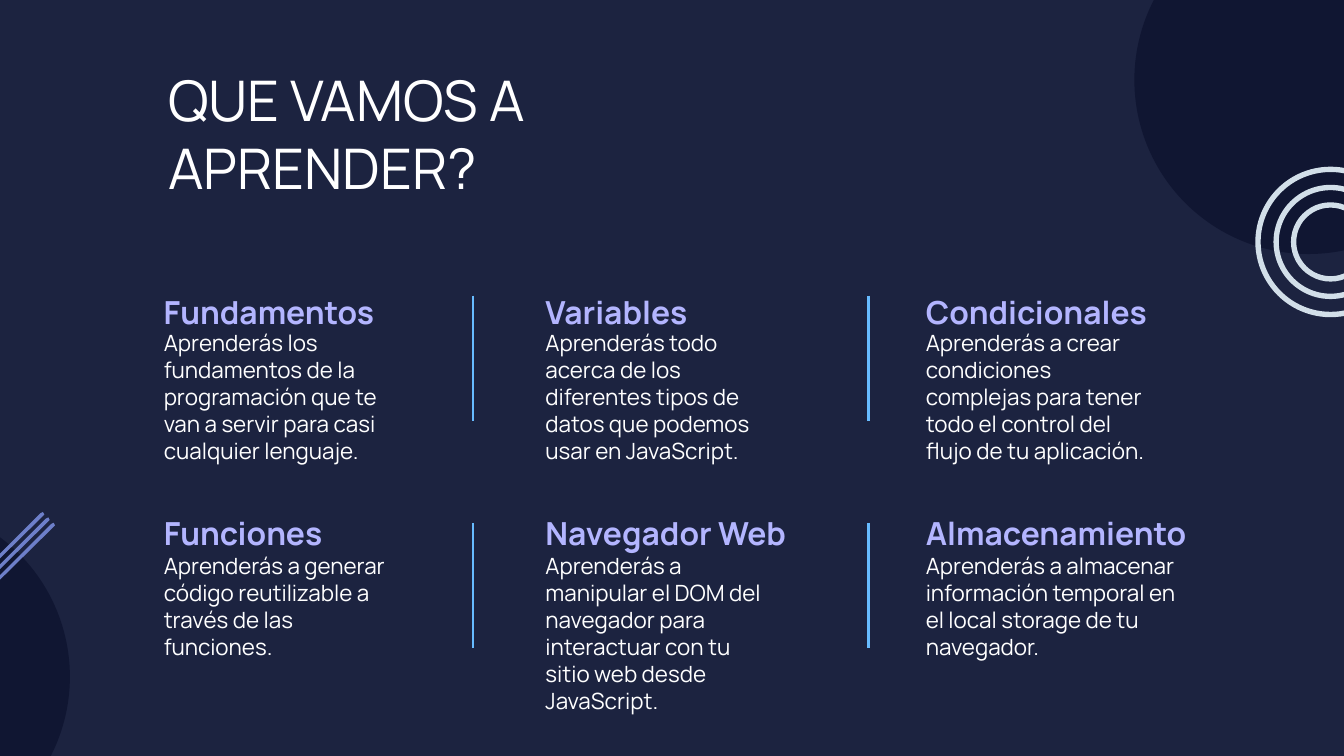
import pptx
import pptx.util
import pptx.dml.color
import pptx.enum.shapes
import pptx.enum.text
import pptx.oxml.ns
from lxml import etree

TITLE = "QUE VAMOS A APRENDER?"
TOPICS = [
    [
        ("Fundamentos", "Aprenderás los fundamentos de la programación que te van a servir para casi cualquier lenguaje."),
        ("Variables", "Aprenderás todo acerca de los diferentes tipos de datos que podemos usar en JavaScript."),
        ("Condicionales", "Aprenderás a crear condiciones complejas para tener todo el control del flujo de tu aplicación."),
    ],
    [
        ("Funciones", "Aprenderás a generar código reutilizable a través de las funciones."),
        ("Navegador Web", "Aprenderás a manipular el DOM del navegador para interactuar con tu sitio web desde JavaScript."),
        ("Almacenamiento", "Aprenderás a almacenar información temporal en el local storage de tu navegador."),
    ],
]
COLORS = {
    "background": "1C2340",
    "disc": "101632",
    "heading": "B3B5FF",
    "text": "FFFFFF",
    "divider": "67BBFF",
    "stroke": "6D7FC9",
    "ring": "D2DFE9",
}
FONT = "Manrope"
WIDTH = 10
HEIGHT = WIDTH * 9 / 16

COLUMN_LEFTS = (1.12, 3.96, 6.79)
HEADING_TOPS, HEADING_HEIGHT = (1.93, 3.58), 0.63
HEADING_WIDTHS = ((2.4, 2.08, 2.08), (2.08, 2.08, 2.19))
BODY_TOPS, BODY_HEIGHT = (2.35, 4.01), 0.93
BODY_WIDTHS = ((1.85, 1.85, 1.85), (1.85, 1.85, 2.14))
DIVIDER_LEFTS, DIVIDER_TOPS, DIVIDER_HEIGHT = (3.52, 6.46), (2.2, 3.89), 0.93

DISC_SIZE, DISC_CORNERS = 2.59, ((8.44, -0.7), (-2.07, 3.74))
RING_CENTER, RING_SIZES, RING_THICKNESS = (9.9, 1.8), (1.12, 0.85, 0.59), 0.04
STROKE_START, STROKE_STEP, STROKE_COUNT = (-0.43, 3.81), 0.04, 3
STROKE_OUTLINE = ((0.73, 0.01), (0.75, 0), (0.76, 0.02), (0.02, 0.75), (0, 0.76), (0.01, 0.73))


def color(name):
    return pptx.dml.color.RGBColor.from_string(COLORS[name])


def lengths(*values):
    return [pptx.util.Inches(value) for value in values]


def write(box, text, size, tint="text", bold=False, anchor="TOP"):
    frame = box.text_frame
    frame.word_wrap = True
    frame.auto_size = pptx.enum.text.MSO_AUTO_SIZE.NONE
    frame.vertical_anchor = getattr(pptx.enum.text.MSO_ANCHOR, anchor)
    margin = pptx.util.Inches(0.1)
    frame.margin_left = frame.margin_right = margin
    frame.margin_top = frame.margin_bottom = margin
    para = frame.paragraphs[0]
    para.alignment = pptx.enum.text.PP_ALIGN.LEFT
    para.line_spacing = 1.0
    para.space_before = pptx.util.Pt(0)
    span = para.add_run()
    span.text = text
    span.font.name = FONT
    span.font.size = pptx.util.Pt(size)
    span.font.bold = bold
    span.font.color.rgb = color(tint)


def paint(shape, tint):
    shape.shadow.inherit = False
    shape.fill.solid()
    shape.fill.fore_color.rgb = color(tint)
    shape.line.fill.background()


def add_divider(shapes, left, top):
    line = shapes.add_connector(
        pptx.enum.shapes.MSO_CONNECTOR.STRAIGHT,
        *lengths(left, top, left, top + DIVIDER_HEIGHT),
    )
    line.line.color.rgb = color("divider")
    line.line.width = pptx.util.Pt(1.5)
    etree.SubElement(line.element.spPr, pptx.oxml.ns.qn("a:effectLst"))


def add_decoration(shapes):
    kinds = pptx.enum.shapes.MSO_SHAPE
    for left, top in DISC_CORNERS:
        disc = shapes.add_shape(kinds.OVAL, *lengths(left, top, DISC_SIZE, DISC_SIZE))
        paint(disc, "disc")

    for index in range(STROKE_COUNT):
        left, top = (start + index * STROKE_STEP for start in STROKE_START)
        points = [lengths(left + x, top + y) for x, y in STROKE_OUTLINE]
        builder = shapes.build_freeform(*points[0])
        builder.add_line_segments(points[1:], close=True)
        paint(builder.convert_to_shape(), "stroke")

    for size in RING_SIZES:
        left, top = (center - size / 2 for center in RING_CENTER)
        ring = shapes.add_shape(kinds.DONUT, *lengths(left, top, size, size))
        ring.adjustments[0] = RING_THICKNESS / size
        paint(ring, "ring")


def main():
    deck = pptx.Presentation()
    deck.slide_width, deck.slide_height = lengths(WIDTH, HEIGHT)
    slide = deck.slides.add_slide(deck.slide_layouts[5])
    slide.background.fill.solid()
    slide.background.fill.fore_color.rgb = color("background")
    shapes = slide.shapes

    title = shapes.title
    title.left, title.top, title.width, title.height = lengths(1.15, 0.39, 4.86, 0.86)
    write(title, TITLE, size=30)

    for row, topics in enumerate(TOPICS):
        for column, (heading, body) in enumerate(topics):
            left = COLUMN_LEFTS[column]
            box = shapes.add_textbox(*lengths(left, HEADING_TOPS[row], HEADING_WIDTHS[row][column], HEADING_HEIGHT))
            write(box, heading, size=17, tint="heading", bold=True, anchor="BOTTOM")
            box = shapes.add_textbox(*lengths(left, BODY_TOPS[row], BODY_WIDTHS[row][column], BODY_HEIGHT))
            write(box, body, size=12)
        for left in DIVIDER_LEFTS:
            add_divider(shapes, left, DIVIDER_TOPS[row])

    add_decoration(shapes)
    deck.save("out.pptx")


if __name__ == "__main__":
    main()
